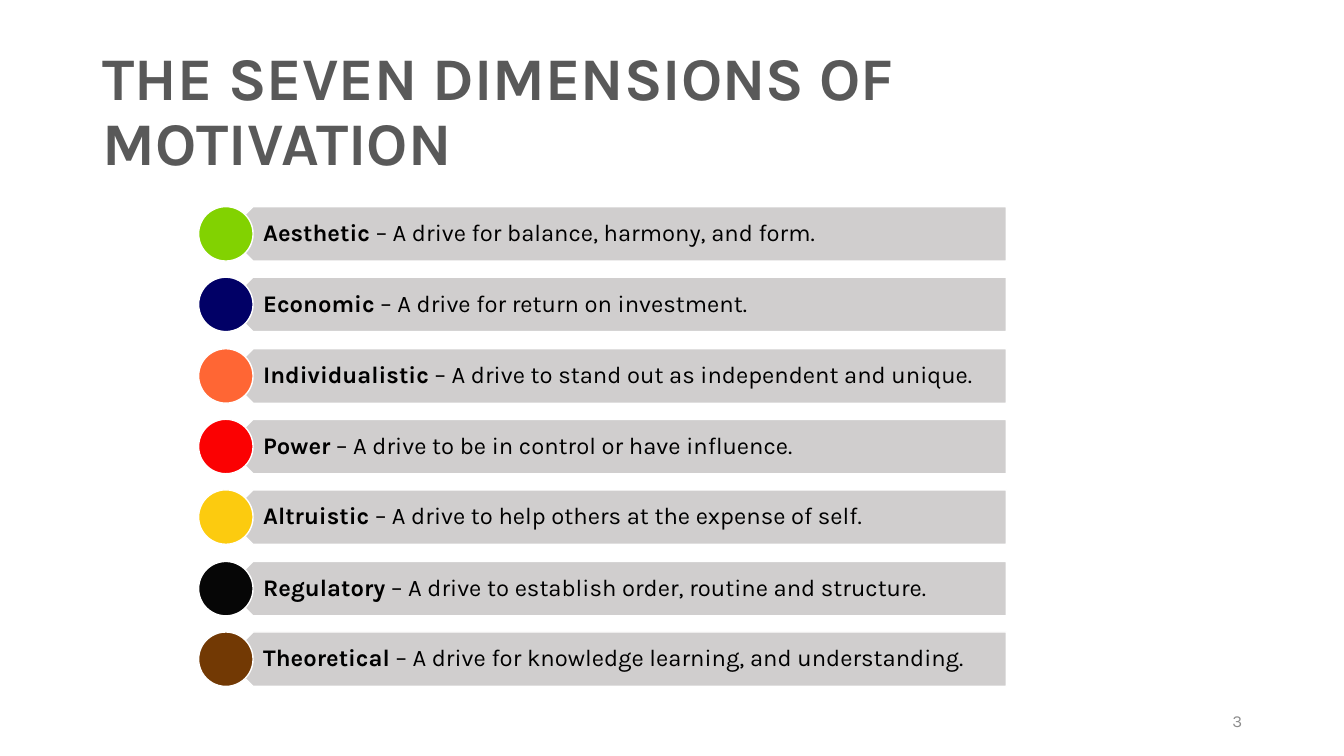
from pptx import Presentation
from pptx.dml.color import RGBColor
from pptx.enum.shapes import MSO_SHAPE as Shape
from pptx.enum.text import MSO_ANCHOR as Anchor, PP_ALIGN as Align
from pptx.util import Pt

SCALE = 9144
COLORS = {
    "title": "595959", "number": "8C8C8C", "text": "000000",
    "bar": "D0CECE", "outline": "FFFFFF",
    "green": "82D201", "navy": "010066", "orange": "FF6634", "red": "FB0102",
    "yellow": "FCCB0F", "black": "060606", "brown": "723904",
}
DIMENSIONS = [
    ("Aesthetic", "A drive for balance, harmony, and form.", "green"),
    ("Economic", "A drive for return on investment.", "navy"),
    ("Individualistic", "A drive to stand out as independent and unique.", "orange"),
    ("Power", "A drive to be in control or have influence.", "red"),
    ("Altruistic", "A drive to help others at the expense of self.", "yellow"),
    ("Regulatory", "A drive to establish order, routine and structure.", "black"),
    ("Theoretical", "A drive for knowledge learning, and understanding.", "brown"),
]
FIRST_TOP, LAST_TOP, ROW_HEIGHT = 205, 627, 54


def px(length):
    return length * SCALE


def color(name):
    return RGBColor.from_string(COLORS[name])


class SlideBuilder:
    """Holds the font and the current slide, and draws its elements."""

    def __init__(self, slide, font="Karla"):
        self.slide = slide
        self.font = font

    def text(self, box, runs, size, tint, align=Align.LEFT,
             insets=(10, 5, 10, 5), spacing=1.0):
        frame = self.slide.shapes.add_textbox(*map(px, box)).text_frame
        frame.word_wrap = True
        frame.vertical_anchor = Anchor.MIDDLE
        (frame.margin_left, frame.margin_top,
         frame.margin_right, frame.margin_bottom) = map(px, insets)
        paragraph = frame.paragraphs[0]
        paragraph.alignment = align
        paragraph.line_spacing = spacing
        for words, bold in runs:
            run = paragraph.add_run()
            run.text = words
            run.font.name = self.font
            run.font.size = Pt(size)
            run.font.bold = bold
            run.font.color.rgb = color(tint)

    def shape(self, kind, box, fill, rotation=0):
        outline = self.slide.shapes.add_shape(kind, *map(px, box))
        outline.rotation = rotation
        outline.shadow.inherit = False
        outline.fill.solid()
        outline.fill.fore_color.rgb = color(fill)
        outline.line.color.rgb = color("outline")
        outline.line.width = Pt(1)

    def dimension(self, top, name, drive, tint):
        self.shape(Shape.PENTAGON, (224, top, 774, ROW_HEIGHT), "bar", rotation=180)
        self.text((237, top, 760, ROW_HEIGHT), [(name, True), (f" – {drive}", False)],
                  size=17, tint="text", insets=(24, 7, 13, 7), spacing=0.9)
        self.shape(Shape.OVAL, (197, top, ROW_HEIGHT, ROW_HEIGHT), tint)


def main():
    deck = Presentation()
    deck.slide_width, deck.slide_height = px(1333), px(750)
    builder = SlideBuilder(deck.slides.add_slide(deck.slide_layouts[6]))
    builder.text((92, 40, 1150, 145), [("THE SEVEN DIMENSIONS OF MOTIVATION", True)],
                 size=43.2, tint="title", spacing=0.9)
    builder.text((942, 695, 300, 40), [("3", False)],
                 size=12, tint="number", align=Align.RIGHT)
    pitch = (LAST_TOP - FIRST_TOP) / (len(DIMENSIONS) - 1)
    for row, (name, drive, tint) in enumerate(DIMENSIONS):
        builder.dimension(FIRST_TOP + round(row * pitch), name, drive, tint)
    deck.save("out.pptx")


if __name__ == "__main__":
    main()
